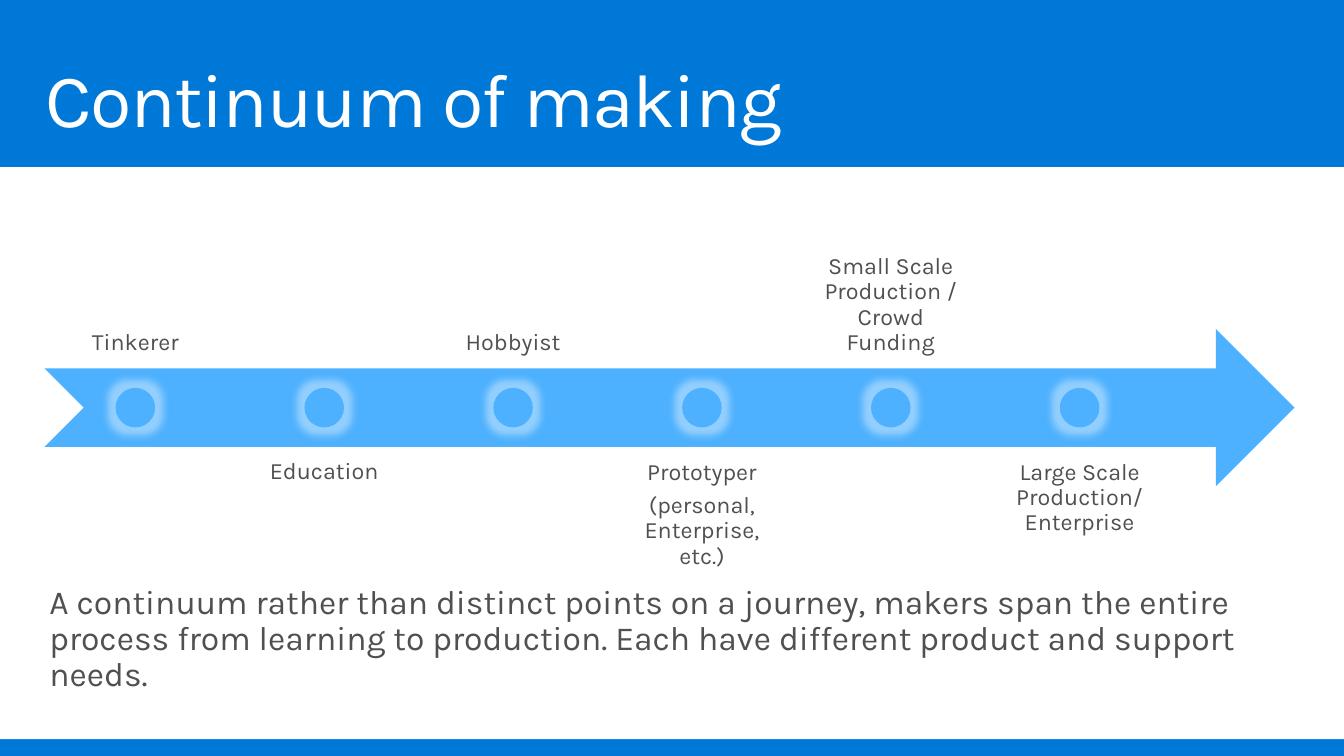
from lxml import etree
from pptx import Presentation
from pptx.dml.color import RGBColor
from pptx.enum.shapes import MSO_SHAPE
from pptx.enum.text import MSO_ANCHOR, PP_ALIGN
from pptx.oxml.ns import qn
from pptx.util import Inches, Pt

RECT, OVAL, ARROW = MSO_SHAPE.RECTANGLE, MSO_SHAPE.OVAL, MSO_SHAPE.NOTCHED_RIGHT_ARROW
TOP, BOTTOM = MSO_ANCHOR.TOP, MSO_ANCHOR.BOTTOM
LEFT, CENTER = PP_ALIGN.LEFT, PP_ALIGN.CENTER

BLUE = RGBColor(0x00, 0x78, 0xD7)
SKY = RGBColor(0x4E, 0xB1, 0xFF)
WHITE = RGBColor(0xFF, 0xFF, 0xFF)
GREY = RGBColor(0x50, 0x50, 0x50)
FONT = "Karla"

STAGES = [
    ["Tinkerer"],
    ["Education"],
    ["Hobbyist"],
    ["Prototyper", "(personal, Enterprise, etc.)"],
    ["Small Scale Production / Crowd Funding"],
    ["Large Scale Production/ Enterprise"],
]
SUMMARY = (
    "A continuum rather than distinct points on a journey, makers span the entire "
    "process from learning to production. Each have different product and support needs."
)


def add_shape(s, kind, box, color):
    sp = s.shapes.add_shape(kind, *map(Inches, box))
    sp.shadow.inherit = False
    sp.fill.solid()
    sp.fill.fore_color.rgb = color
    sp.line.fill.background()
    return sp


def add_text(s, box, lines, size, color, insets, align=LEFT, anchor=TOP, after=0):
    tf = s.shapes.add_textbox(*map(Inches, box)).text_frame
    dx, dy = map(Inches, insets)
    frame = {"word_wrap": True, "vertical_anchor": anchor, "margin_left": dx,
             "margin_right": dx, "margin_top": dy, "margin_bottom": dy}
    for name, value in frame.items():
        setattr(tf, name, value)
    for i, line in enumerate(lines):
        p = tf.paragraphs[0] if i == 0 else tf.add_paragraph()
        for name, value in {"alignment": align, "line_spacing": 0.9,
                            "space_after": Pt(after)}.items():
            setattr(p, name, value)
        r = p.add_run()
        r.text = line
        for name, value in {"name": FONT, "size": Pt(size)}.items():
            setattr(r.font, name, value)
        r.font.color.rgb = color
    return tf


def add_glow(sp, radius):
    effects = sp._element.spPr.find(qn("a:effectLst"))
    glow = etree.SubElement(effects, qn("a:glow"), rad=str(Pt(radius)))
    color = etree.SubElement(glow, qn("a:srgbClr"), val=str(WHITE))
    etree.SubElement(color, qn("a:alpha"), val="40000")


def add_title(s, box):
    tf = add_text(s, box, ["Continuum of making"], 55.1, WHITE, (0.16, 0.1))
    tf.paragraphs[0].runs[0]._r.get_or_add_rPr().set("spc", "-100")


def add_timeline(s, box):
    x, y, w, h = box
    add_shape(s, ARROW, box, SKY)
    middle = y + h / 2
    label_w, pitch, dot = 1.82, 1.911, 0.4
    for i, lines in enumerate(STAGES):
        left = x + 0.01 + i * pitch
        # Labels alternate above and below the arrow
        above = i % 2 == 0
        top = middle - 1.99 if above else middle + 0.4
        add_text(s, (left, top, label_w, h), lines, 17, GREY, (0.13, 0.13),
                 CENTER, BOTTOM if above else TOP, 6)
        # Stage marker
        marker = (left + (label_w - dot) / 2, middle - dot / 2, dot, dot)
        add_glow(add_shape(s, OVAL, marker, SKY), 11)


def main():
    prs = Presentation()
    prs.slide_width, prs.slide_height = Inches(13.6), Inches(7.65)
    s = prs.slides.add_slide(prs.slide_layouts[6])

    # Blue backdrop with white body panel
    s.background.fill.solid()
    s.background.fill.fore_color.rgb = BLUE
    add_shape(s, RECT, (0, 1.69, 13.6, 5.79), WHITE)

    add_title(s, (0.3, 0.53, 13, 1))
    add_timeline(s, (0.45, 3.33, 12.65, 1.59))

    # Summary
    add_text(s, (0.3, 5.76, 12.82, 1.46), [SUMMARY], 24.5, GREY, (0.2, 0.16), after=6.1)
    prs.save("out.pptx")


if __name__ == "__main__":
    main()
